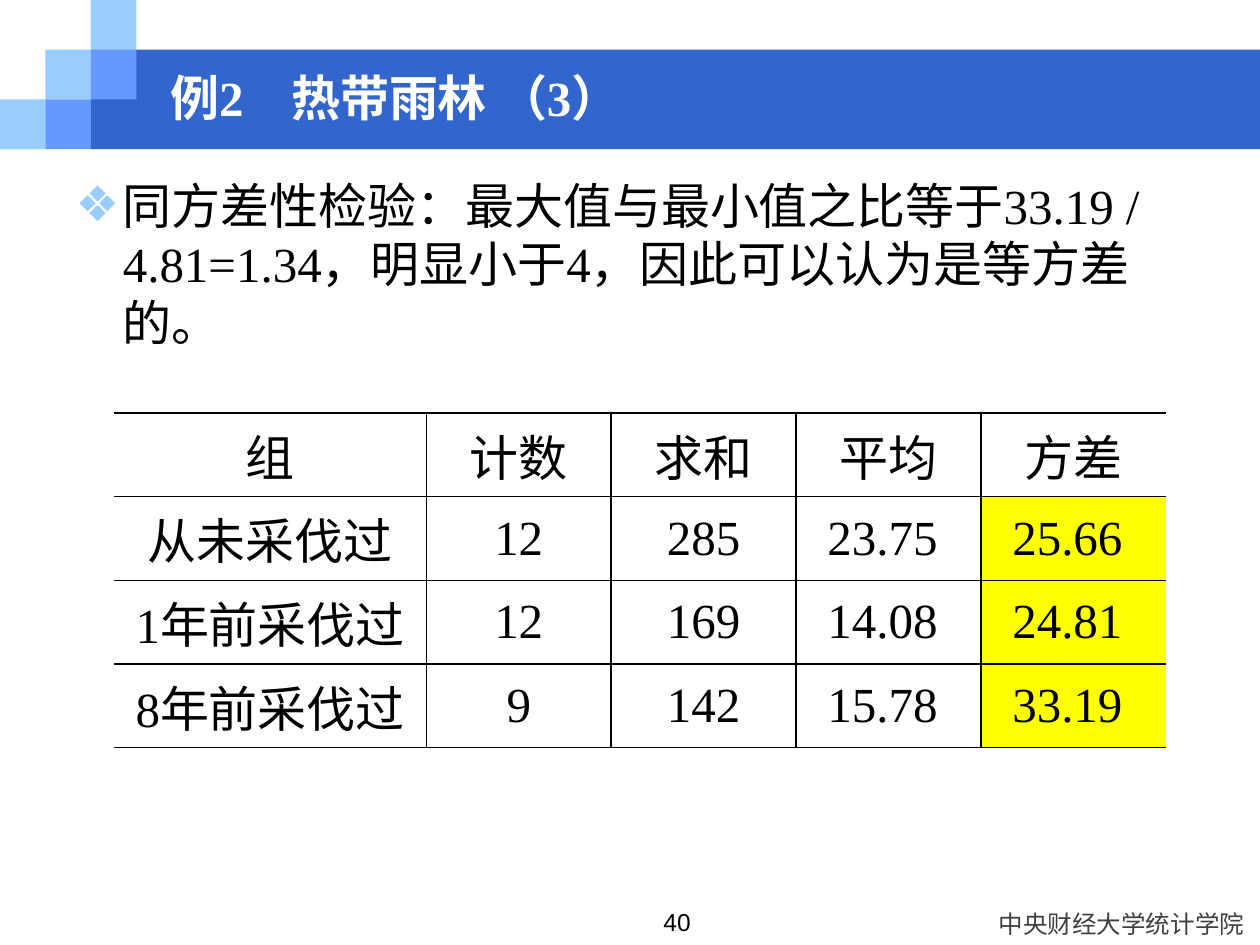
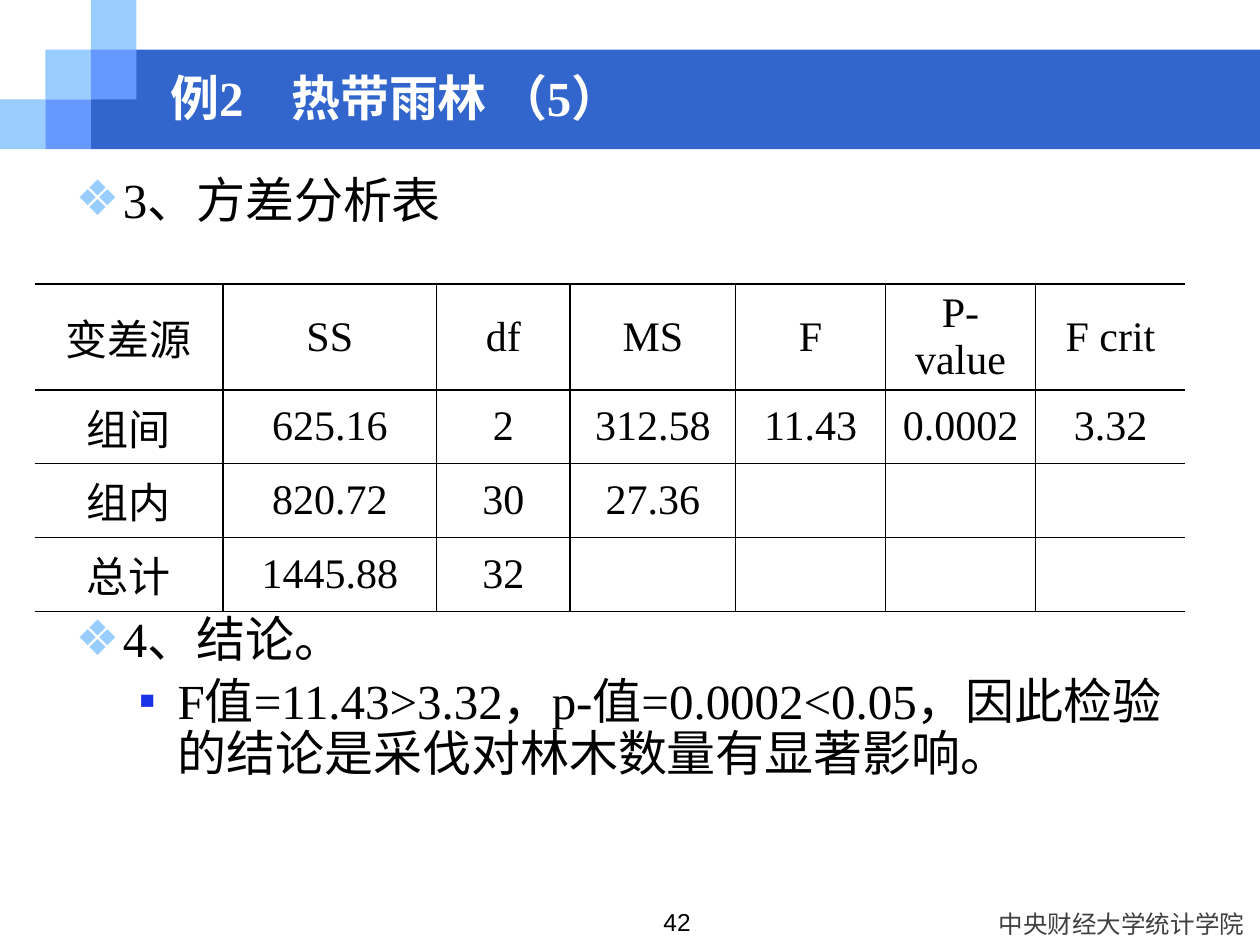
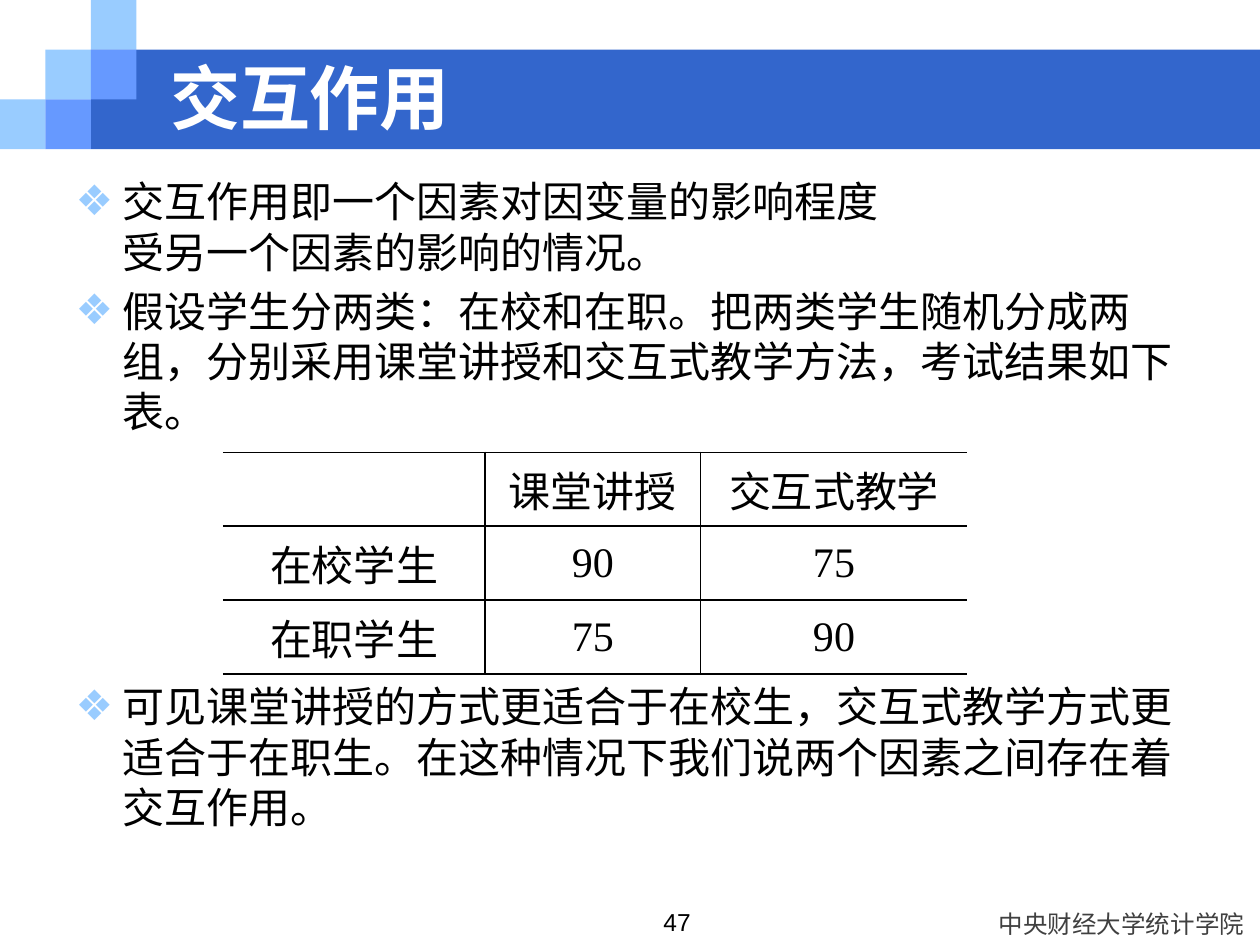
import pptx
import pptx.util
import pptx.dml.color
import pptx.enum.shapes
import pptx.enum.text
import pptx.oxml
import pptx.oxml.ns

Pt = pptx.util.Pt
RGB = pptx.dml.color.RGBColor
ALIGN = pptx.enum.text.PP_ALIGN
MIDDLE = pptx.enum.text.MSO_ANCHOR.MIDDLE
NO_FIT = pptx.enum.text.MSO_AUTO_SIZE.NONE
NS = pptx.oxml.ns.nsdecls("a")

BLUE = RGB(0x33, 0x66, 0xCC)
SKY = RGB(0x99, 0xCC, 0xFF)
MID_BLUE = RGB(0x66, 0x99, 0xFF)
INDIGO = RGB(0x1B, 0x33, 0xE7)
YELLOW = RGB(0xFF, 0xFF, 0x00)
BLACK = RGB(0x00, 0x00, 0x00)
WHITE = RGB(0xFF, 0xFF, 0xFF)
GREY = RGB(0x40, 0x40, 0x40)
SERIF = "Times New Roman"
CJK = "Noto Sans CJK SC"
TABLE_FONT = dict(align=ALIGN.CENTER)

# Bullets by level: character, colour, left margin, indent
BULLETS = [("❖", SKY, Pt(27), Pt(-27)), ("▪", INDIGO, Pt(58.3), Pt(-22.3))]


def add_xml(parent, xml, index=None):
    tag, _, rest = xml.partition(" ")
    el = pptx.oxml.parse_xml(f"{tag} {NS} {rest}")
    parent.insert(len(parent) if index is None else index, el)


def write(p, text, color=BLACK, align=ALIGN.LEFT, **font):
    p.text = text
    p.alignment = align
    for r in p.runs:
        for key, value in {"name": SERIF, **font}.items():
            setattr(r.font, key, value)
        r.font.color.rgb = color
        add_xml(r.font._element, f'<a:ea typeface="{CJK}"/>')


# Slide contents; body items are (level, space before, text)
SLIDES = [
    dict(
        title="例2\t热带雨林 （3）", title_size=28, number="40", size=28, pitch=33.4,
        body=[(0, 0, "同方差性检验：最大值与最小值之比等于33.19 / 4.81=1.34，明显小于4，因此可以认为是等方差的。")],
        at=(65.2, 236), cols=[178.4] + [105.7] * 4, rows=[47.8] * 4, cell_size=28, marked=4,
        cells=[
            ["组", "计数", "求和", "平均", "方差"],
            ["从未采伐过", "12", "285", "23.75 ", "25.66 "],
            ["1年前采伐过", "12", "169", "14.08 ", "24.81 "],
            ["8年前采伐过", "9", "142", "15.78 ", "33.19 "],
        ],
    ),
    dict(
        title="例2\t热带雨林 （5）", title_size=28, number="42", size=28, pitch=29.7,
        body=[
            (0, 0, "3、方差分析表"),
            (0, 221.6, "4、结论。"),
            (1, 5.6, "F值=11.43>3.32，p-值=0.0002<0.05，因此检验的结论是采伐对林木数量有显著影响。"),
        ],
        at=(19.8, 162.2), cols=[107.6, 122.2, 76.2, 94.6] + [85.7] * 3,
        rows=[60.6] + [42.2] * 3, cell_size=24, marked=None,
        cells=[
            ["变差源", "SS", "df", "MS", "F", "P-value", "F crit"],
            ["组间", "625.16", "2", "312.58", "11.43", "0.0002", "3.32"],
            ["组内", "820.72", "30", "27.36", "", "", ""],
            ["总计", "1445.88", "32", "", "", "", ""],
        ],
    ),
    dict(
        title="交互作用", title_size=40, number="47", size=24, pitch=28.8,
        body=[
            (0, 0, "交互作用即一个因素对因变量的影响程度\n受另一个因素的影响的情况。"),
            (0, 4.8, "假设学生分两类：在校和在职。把两类学生随机分成两组，分别采用课堂讲授和交互式教学方法，考试结果如下表。"),
            (0, 139.8, "可见课堂讲授的方式更适合于在校生，交互式教学方式更适合于在职生。在这种情况下我们说两个因素之间存在着交互作用。"),
        ],
        at=(127.4, 258.5), cols=[149.8, 123.2, 152.4], rows=[42.2] * 3, cell_size=24, marked=None,
        cells=[
            ["", "课堂讲授", "交互式教学"],
            ["在校学生", "90", "75"],
            ["在职学生", "75", "90"],
        ],
    ),
]

prs = pptx.Presentation()
prs.slide_width, prs.slide_height = Pt(720), Pt(540)
layout = prs.slide_layouts[1]
slides = [prs.slides.add_slide(layout) for _ in SLIDES]

# Shared band, stepped squares and footer, moved to the master
STEP_X, STEP_Y = 26, 28.4
shared = []
for col, row, w, h, color in [
    (2, 1, 720 - 2 * STEP_X, 2 * STEP_Y, BLUE),
    (0, 2, STEP_X, STEP_Y, SKY),
    (1, 1, STEP_X, STEP_Y, SKY),
    (2, 0, STEP_X, STEP_Y, SKY),
    (2, 1, STEP_X, STEP_Y, MID_BLUE),
    (1, 2, STEP_X, STEP_Y, MID_BLUE),
]:
    sp = slides[0].shapes.add_shape(
        pptx.enum.shapes.MSO_SHAPE.RECTANGLE,
        Pt(col * STEP_X), Pt(row * STEP_Y), Pt(w), Pt(h))
    sp.shadow.inherit = False
    sp.fill.solid()
    sp.fill.fore_color.rgb = color
    sp.line.fill.background()
    shared.append(sp)

sp = slides[0].shapes.add_textbox(Pt(562.8), Pt(516), Pt(156.2), Pt(24))
sp.text_frame.word_wrap = False
write(sp.text_frame.paragraphs[0], "中央财经大学统计学院", GREY, ALIGN.CENTER, name=CJK, size=Pt(14))
shared.append(sp)
for i, sp in enumerate(shared):
    sp.element.nvSpPr.cNvPr.id = 101 + i
    prs.slide_master.element.cSld.spTree.append(sp.element)

# Title and body places, inherited by every slide
for ph, box in zip(layout.placeholders, [(90, 36.4, 582, 38), (36, 96.5, 648, 413)]):
    ph.left, ph.top, ph.width, ph.height = map(Pt, box)

for s, d in zip(slides, SLIDES):
    # Title
    tf = s.shapes.title.text_frame
    tf.auto_size, tf.vertical_anchor = NO_FIT, MIDDLE
    p = tf.paragraphs[0]
    write(p, d["title"], WHITE, size=Pt(d["title_size"]), bold=True)
    if "\t" in d["title"]:
        add_xml(p._p.get_or_add_pPr(), f'<a:tabLst ><a:tab pos="{Pt(69.2)}" algn="l"/></a:tabLst>')

    # Body list
    tf = s.placeholders[1].text_frame
    tf.auto_size, tf.margin_top = NO_FIT, Pt(4)
    for i, (level, before, text) in enumerate(d["body"]):
        p = tf.add_paragraph() if i else tf.paragraphs[0]
        char, color, margin, indent = BULLETS[level]
        p.level = level
        pPr = p._p.get_or_add_pPr()
        for key, value in {"marL": margin, "indent": indent, "hangingPunct": 0}.items():
            pPr.set(key, str(value))
        add_xml(pPr, f'<a:buClr ><a:srgbClr val="{color}"/></a:buClr>')
        add_xml(pPr, '<a:buFont typeface="Arial"/>')
        add_xml(pPr, f'<a:buChar char="{char}"/>')
        p.line_spacing, p.space_before = Pt(d["pitch"]), Pt(before)
        write(p, text, size=Pt(d["size"]))

    # Table, open at its left and right sides
    cols, rows = d["cols"], d["rows"]
    tbl = s.shapes.add_table(len(rows), len(cols), *map(Pt, (*d["at"], sum(cols), sum(rows)))).table
    tbl.first_row = tbl.horz_banding = False
    for c, w in enumerate(cols):
        tbl.columns[c].width = Pt(w)
    for r, h in enumerate(rows):
        tbl.rows[r].height = Pt(h)
        for c, text in enumerate(d["cells"][r]):
            cell = tbl.cell(r, c)
            cell.vertical_anchor = MIDDLE
            if r and c == d["marked"]:
                cell.fill.solid()
                cell.fill.fore_color.rgb = YELLOW
            else:
                cell.fill.background()
            write(cell.text_frame.paragraphs[0], text, size=Pt(d["cell_size"]), **TABLE_FONT)
            open_sides = {"L": c == 0, "R": c == len(cols) - 1}
            for i, side in enumerate("LRTB"):
                paint = ("<a:noFill/>" if open_sides.get(side)
                         else f'<a:solidFill><a:srgbClr val="{BLACK}"/></a:solidFill>')
                add_xml(cell._tc.get_or_add_tcPr(), f'<a:ln{side} w="{Pt(1)}">{paint}</a:ln{side}>', i)

    # Page number
    sp = s.shapes.add_textbox(Pt(234), Pt(514.8), Pt(167.8), Pt(25.2))
    sp.text_frame.word_wrap = True
    write(sp.text_frame.paragraphs[0], d["number"], align=ALIGN.RIGHT, name="Arial", size=Pt(14))

prs.save("out.pptx")
